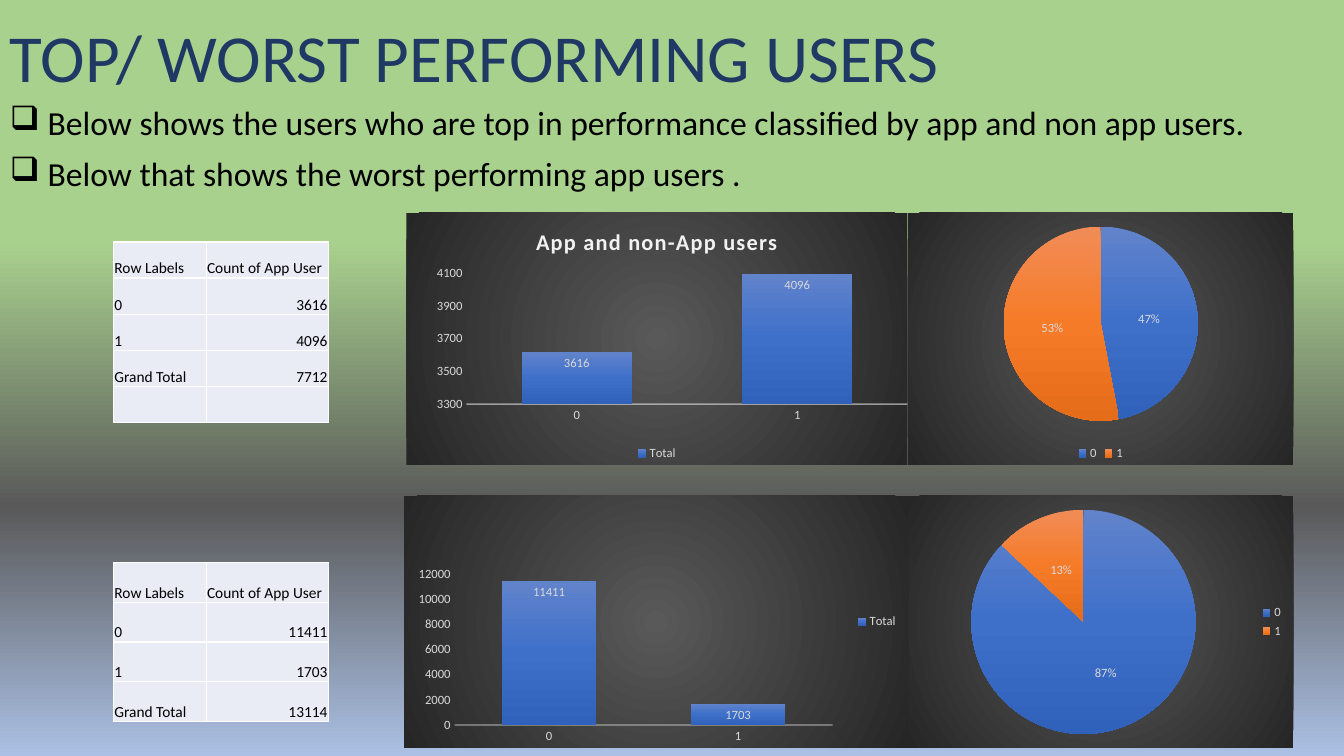
"""Build the slide on top and worst performing users."""
from lxml.etree import SubElement
from pptx import Presentation
from pptx.chart.data import CategoryChartData
from pptx.dml.color import RGBColor
from pptx.enum.chart import XL_CHART_TYPE, XL_LABEL_POSITION, XL_LEGEND_POSITION, XL_TICK_MARK
from pptx.enum.text import MSO_ANCHOR, PP_ALIGN
from pptx.oxml import parse_xml
from pptx.oxml.ns import nsdecls, qn
from pptx.util import Pt

FACE = "Calibri"
NAVY = RGBColor(0x20, 0x38, 0x64)
BLACK = RGBColor(0, 0, 0)
PALE = RGBColor(0xE9, 0xEB, 0xF5)
SILVER = RGBColor(0xD9, 0xD9, 0xD9)
SNOW = RGBColor(0xF2, 0xF2, 0xF2)
SKY = [(32, "A9D18E"), (67, "595959"), (100, "ABC0E4"), (100, "C7D5ED")]
DARK = [(0, "595959"), (100, "262626")]
BLUE = [(0, "6183CB"), (50, "3E70CA"), (100, "3062BB")]
ORANGE = [(0, "F18C57"), (50, "F67B28"), (100, "E56C19")]
DOWN = '<a:lin ang="5400000" scaled="0"/>'
ROUND = '<a:path path="circle"><a:fillToRect l="50000" t="50000" r="50000" b="50000"/></a:path>'

TITLE = "TOP/ WORST PERFORMING USERS"
POINTS = [
    "Below shows the users who are top in performance classified by app and non app users.",
    "Below that shows the worst performing app users .",
]
HEAD = ("Row Labels", "Count of App User")
TABLES = [
    (172.8, 25.85, [HEAD, ("0", "3616"), ("1", "4096"), ("Grand Total", "7712"), ("", "")]),
    (401.8, 28.4, [HEAD, ("0", "11411"), ("1", "1703"), ("Grand Total", "13114")]),
]
BOTTOM, RIGHT = XL_LEGEND_POSITION.BOTTOM, XL_LEGEND_POSITION.RIGHT
PIES = [(151.9, BOTTOM, (47, 53)), (354.2, RIGHT, (87, 13))]
BARS = [
    (290.2, 151.9, BOTTOM, (3616, 4096), "App and non-App users",
     (3300, 4100, 200), (0.12, 0.24, 0.88, 0.52)),
    (288.7, 354.2, RIGHT, (11411, 1703), None,
     (0, 12000, 2000), (0.1, 0.31, 0.75, 0.6)),
]
SPLIT, EDGE, TALL = 648.7, 923.8, 180


def blend(stops, way):
    marks = "".join(f'<a:gs pos="{at * 1000}"><a:srgbClr val="{tint}"/></a:gs>' for at, tint in stops)
    return f'<a:gradFill {nsdecls("a")} rotWithShape="1"><a:gsLst>{marks}</a:gsLst>{way}</a:gradFill>'


def shade(props, stops):
    props.replace(props.find(qn("a:solidFill")), parse_xml(blend(stops, DOWN)))


def style(font, size, tint):
    font.name, font.size = FACE, Pt(size)
    font.color.rgb = tint


def add_box(slide, top, high, lines, size, tint, anchor):
    frame = slide.shapes.add_textbox(Pt(0), Pt(top), Pt(960), Pt(high)).text_frame
    frame.word_wrap, frame.vertical_anchor = True, anchor
    for num, line in enumerate(lines):
        para = frame.add_paragraph() if num else frame.paragraphs[0]
        para.line_spacing = 0.9
        run = para.add_run()
        run.text = line
        style(run.font, size, tint)
    return frame


def add_grid(slide, top, high, rows):
    shape = slide.shapes.add_table(len(rows), 2, Pt(81.2), Pt(top), Pt(153.3), Pt(high * len(rows)))
    grid = shape.table
    grid.first_row = grid.horz_banding = False
    grid.columns[0].width, grid.columns[1].width = Pt(66.2), Pt(87.1)
    for r, row in enumerate(rows):
        grid.rows[r].height = Pt(high)
        for c, text in enumerate(row):
            cell = grid.cell(r, c)
            cell.margin_left = cell.margin_right = cell.margin_top = Pt(0.5)
            cell.margin_bottom = Pt(0)
            cell.vertical_anchor = MSO_ANCHOR.BOTTOM
            cell.fill.solid()
            cell.fill.fore_color.rgb = PALE
            props = cell._tc.get_or_add_tcPr()
            for num, side in enumerate(("lnL", "lnR", "lnT", "lnB")):
                props.insert(num, parse_xml(
                    f'<a:{side} {nsdecls("a")} w="12700"><a:solidFill>'
                    f'<a:srgbClr val="FFFFFF"/></a:solidFill></a:{side}>'))
            if text:
                para = cell.text_frame.paragraphs[0]
                para.alignment = PP_ALIGN.RIGHT if r and c else PP_ALIGN.LEFT
                run = para.add_run()
                run.text = text
                style(run.font, 11, BLACK)


def add_plot(slide, kind, left, right, top, side, name, vals):
    data = CategoryChartData()
    data.categories = ["0", "1"]
    data.add_series(name, vals)
    chart = slide.shapes.add_chart(kind, Pt(left), Pt(top), Pt(right - left), Pt(TALL), data).chart
    style(chart.font, 10, BLACK)
    chart.has_title, chart.has_legend = False, True
    chart.legend.position = side
    chart.legend.include_in_layout = False
    style(chart.legend.font, 9, SILVER)
    chart.element.find(qn("c:chart")).addnext(parse_xml(
        f'<c:spPr {nsdecls("c", "a")}>{blend(DARK, ROUND)}<a:ln><a:noFill/></a:ln></c:spPr>'))
    plot = chart.plots[0]
    plot.has_data_labels = True
    style(plot.data_labels.font, 9, SILVER)
    return chart, plot


def add_pie(slide, top, side, vals):
    chart, plot = add_plot(slide, XL_CHART_TYPE.PIE, SPLIT, EDGE, top, side, "Series 1", vals)
    plot.vary_by_categories = True
    tags = plot.data_labels
    tags.show_percentage, tags.show_value = True, False
    tags.number_format, tags.number_format_is_linked = "0%", False
    tags.position = XL_LABEL_POSITION.CENTER
    for num in range(len(vals)):
        plot.series[0].points[num].format.fill.solid()
    for props, stops in zip(chart.element.xpath(".//c:dPt/c:spPr"), (BLUE, ORANGE)):
        shade(props, stops)


def add_bars(slide, left, top, side, vals, title, scale, area):
    chart, plot = add_plot(slide, XL_CHART_TYPE.COLUMN_CLUSTERED, left, SPLIT, top, side, "Total", vals)
    plot.vary_by_categories = False
    plot.gap_width, plot.overlap = 100, -24
    plot.data_labels.show_value = True
    plot.data_labels.position = XL_LABEL_POSITION.INSIDE_END
    plot.series[0].format.fill.solid()
    shade(chart.element.xpath(".//c:ser/c:spPr")[0], BLUE)
    base, rise = chart.category_axis, chart.value_axis
    for axis in (base, rise):
        axis.major_tick_mark = axis.minor_tick_mark = XL_TICK_MARK.NONE
        axis.has_major_gridlines = False
        style(axis.tick_labels.font, 9, SILVER)
    rise.minimum_scale, rise.maximum_scale, rise.major_unit = scale
    rise.format.line.fill.background()
    base.format.line.width = Pt(1)
    base.format.line.color.rgb = SNOW
    tint = chart.element.xpath(".//c:catAx/c:spPr/a:ln//a:srgbClr")[0]
    SubElement(tint, qn("a:alpha")).set("val", "54000")
    if title:
        run = chart.chart_title.text_frame.paragraphs[0].add_run()
        run.text = title
        style(run.font, 16, SNOW)
        run.font.bold = True
        run.font._element.set("spc", "100")
        chart.chart_title.include_in_layout = False
    field = chart.element.xpath(".//c:plotArea")[0]
    for old in field.findall(qn("c:layout")):
        field.remove(old)
    spots = "".join(f'<c:{key} val="{val}"/>' for key, val in zip("xywh", area))
    field.insert(0, parse_xml(
        f'<c:layout {nsdecls("c")}><c:manualLayout><c:layoutTarget val="inner"/>'
        f'<c:xMode val="edge"/><c:yMode val="edge"/>{spots}</c:manualLayout></c:layout>'))


def main():
    deck = Presentation()
    deck.slide_width, deck.slide_height = Pt(960), Pt(540)
    slide = deck.slides.add_slide(deck.slide_layouts[6])
    slide.background.fill.solid()
    shade(slide.element.xpath(".//p:bgPr")[0], SKY)
    add_box(slide, 0, 72.7, [TITLE], 48, NAVY, MSO_ANCHOR.BOTTOM)
    body = add_box(slide, 72.7, 467.3, POINTS, 24, BLACK, MSO_ANCHOR.TOP)
    for para in body.paragraphs:
        para.space_before = Pt(10)
        props = para._p.get_or_add_pPr()
        props.set("marL", str(Pt(27)))
        props.set("indent", str(-Pt(27)))
        SubElement(props, qn("a:buChar")).set("char", "❑")
    for pie in PIES:
        add_pie(slide, *pie)
    for bars in BARS:
        add_bars(slide, *bars)
    for grid in TABLES:
        add_grid(slide, *grid)
    deck.save("out.pptx")


if __name__ == "__main__":
    main()
